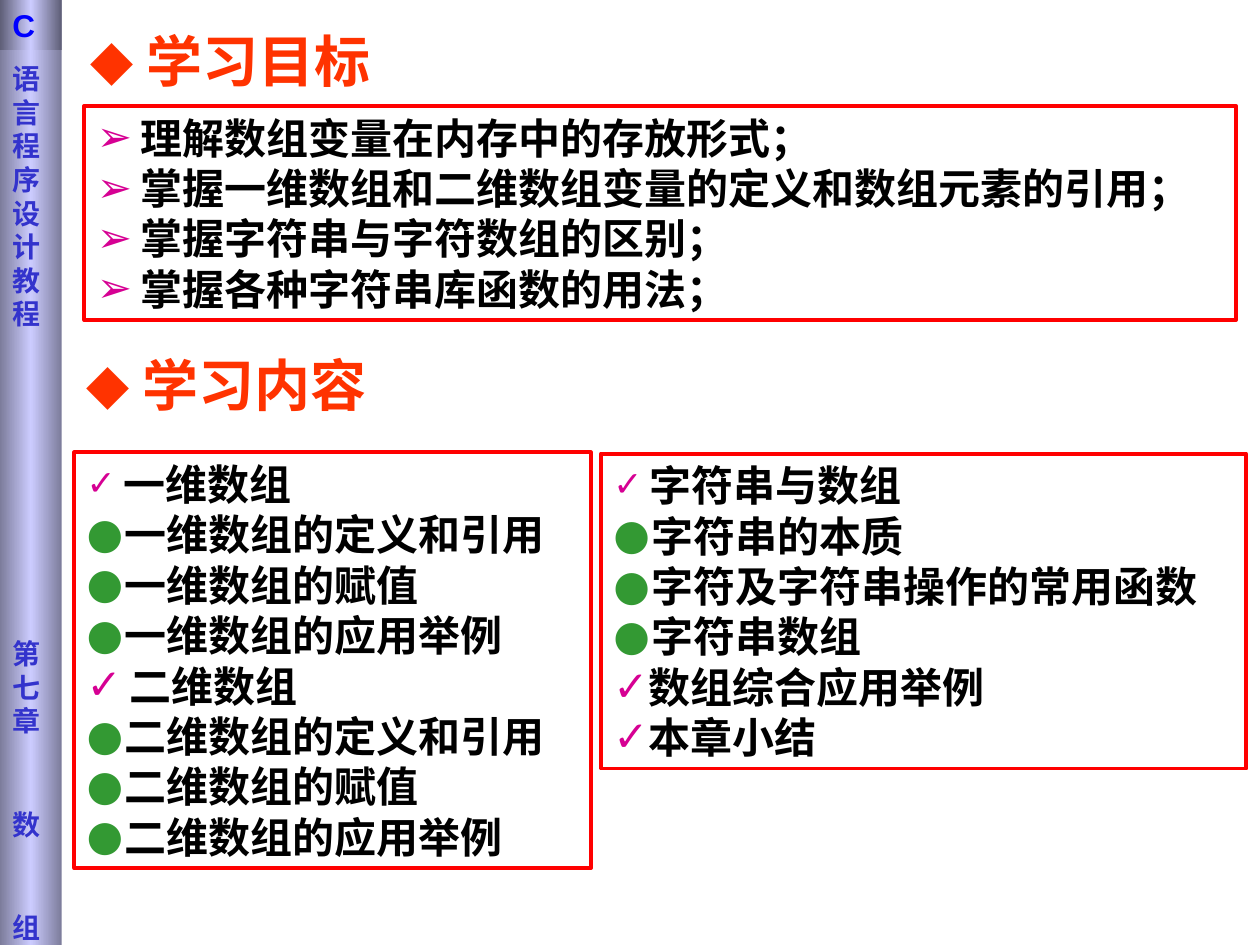
from lxml import etree
from pptx import Presentation
from pptx.dml.color import RGBColor
from pptx.enum.shapes import MSO_SHAPE
from pptx.enum.text import MSO_ANCHOR, PP_ALIGN
from pptx.oxml.ns import qn
from pptx.util import Inches, Pt

ORANGE = RGBColor(0xFF, 0x33, 0x00)
RED = RGBColor(0xFF, 0x00, 0x00)
MAGENTA = RGBColor(0xD6, 0x00, 0x93)
GREEN = RGBColor(0x33, 0x99, 0x33)
BLACK = RGBColor(0x00, 0x00, 0x00)
BLUE = RGBColor(0x00, 0x00, 0xFF)
INDIGO = RGBColor(0x33, 0x33, 0xCC)
LAVENDER = RGBColor(0xCC, 0xCC, 0xFF)
SLATE = RGBColor(0x7C, 0x7C, 0x9B)
DARK_SLATE = RGBColor(0x5E, 0x5E, 0x76)
CJK_FONT = "Noto Sans CJK SC"


def add_bullet(paragraph, mark, color, indent, percent=100):
    """Give the paragraph a coloured bullet with a hanging indent in inches."""
    props = paragraph._p.get_or_add_pPr()
    props.set("marL", str(Inches(indent)))
    props.set("indent", str(-Inches(indent)))
    fill = etree.SubElement(props, qn("a:buClr"))
    etree.SubElement(fill, qn("a:srgbClr"), val=str(color))
    etree.SubElement(props, qn("a:buSzPct"), val=str(percent * 1000))
    etree.SubElement(props, qn("a:buFont"), typeface="DejaVu Sans")
    etree.SubElement(props, qn("a:buChar"), char=mark)


def add_text(paragraph, text, size, font, color):
    paragraph.alignment = PP_ALIGN.LEFT
    run = paragraph.add_run()
    run.text = text
    for name, value in {"size": Pt(size), "name": font, "bold": True}.items():
        setattr(run.font, name, value)
    run.font.color.rgb = color
    etree.SubElement(run._r.get_or_add_rPr(), qn("a:ea"), typeface=CJK_FONT)


prs = Presentation()
prs.slide_width, prs.slide_height = Inches(10), Inches(7.5)
slide = prs.slides.add_slide(prs.slide_layouts[5])

# Section headings
goals_heading = slide.shapes.title
contents_heading = slide.shapes.add_textbox(0, 0, 0, 0)
for heading, left, top, text in [
    (goals_heading, 0.62, 0.16, "学习目标"),
    (contents_heading, 0.59, 2.73, "学习内容"),
]:
    heading.left, heading.top = Inches(left), Inches(top)
    heading.width, heading.height = Inches(4.25), Inches(0.64)
    heading.text_frame.word_wrap = True
    heading.text_frame.vertical_anchor = MSO_ANCHOR.TOP
    paragraph = heading.text_frame.paragraphs[0]
    add_bullet(paragraph, "◆", ORANGE, 0.44)
    add_text(paragraph, text, 32, "Arial", ORANGE)

# Framed lists: each item is mark, indent, text
goals = [("➢", 0.35, text) for text in [
    "理解数组变量在内存中的存放形式；",
    "掌握一维数组和二维数组变量的定义和数组元素的引用；",
    "掌握字符串与字符数组的区别；",
    "掌握各种字符串库函数的用法；",
]]
array_topics = [
    ("✓", 0.29, "一维数组"),
    ("●", 0.3, "一维数组的定义和引用"),
    ("●", 0.3, "一维数组的赋值"),
    ("●", 0.3, "一维数组的应用举例"),
    ("✓", 0.34, "二维数组"),
    ("●", 0.3, "二维数组的定义和引用"),
    ("●", 0.3, "二维数组的赋值"),
    ("●", 0.3, "二维数组的应用举例"),
]
string_topics = [
    ("✓", 0.29, "字符串与数组"),
    ("●", 0.3, "字符串的本质"),
    ("●", 0.3, "字符及字符串操作的常用函数"),
    ("●", 0.3, "字符串数组"),
    ("✓", 0.27, "数组综合应用举例"),
    ("✓", 0.27, "本章小结"),
]
for left, top, width, height, font, items in [
    (0.59, 3.59, 4.1, 3.3, CJK_FONT, array_topics),
    (4.77, 3.6, 5.12, 2.5, CJK_FONT, string_topics),
    (0.67, 0.84, 9.14, 1.7, "Times New Roman", goals),
]:
    frame = slide.shapes.add_shape(
        MSO_SHAPE.RECTANGLE, Inches(left), Inches(top), Inches(width), Inches(height))
    frame.shadow.inherit = False
    frame.fill.background()
    frame.line.color.rgb = RED
    frame.line.width = Pt(2.25)
    body = frame.text_frame
    body.word_wrap = True
    body.vertical_anchor = MSO_ANCHOR.TOP
    for index, (mark, indent, text) in enumerate(items):
        paragraph = body.add_paragraph() if index else body.paragraphs[0]
        small = mark == "✓" and index == 0
        add_bullet(paragraph, mark, GREEN if mark == "●" else MAGENTA,
                   indent, 83 if small else 100)
        add_text(paragraph, text, 24, font, BLACK)

# Sidebar: each line is text, space before; the narrow column stacks the characters
book_lines = [("语言程序设计教程", 0), ("第七章", 175), ("数", 40), ("组", 40)]
for height, edge, inset, size, font, color, lines in [
    (7.5, SLATE, 0.49, 16, "DejaVu Sans", INDIGO, book_lines),
    (0.4, DARK_SLATE, 0.05, 18, "Arial", BLUE, [("C", 0)]),
]:
    band = slide.shapes.add_shape(
        MSO_SHAPE.RECTANGLE, 0, 0, Inches(0.49), Inches(height))
    band.shadow.inherit = False
    band.line.fill.background()
    band.fill.gradient()
    band.fill.gradient_angle = 0
    stops = band.fill._fill._gradFill.find(qn("a:gsLst"))
    for stop in list(stops):
        stops.remove(stop)
    for position, shade in [(0, edge), (50, LAVENDER), (100, edge)]:
        stop = etree.SubElement(stops, qn("a:gs"), pos=str(position * 1000))
        etree.SubElement(stop, qn("a:srgbClr"), val=str(shade))
    body = band.text_frame
    body.word_wrap = True
    body.vertical_anchor = MSO_ANCHOR.TOP
    body.margin_top = Inches(inset)
    for index, (text, gap) in enumerate(lines):
        paragraph = body.add_paragraph() if index else body.paragraphs[0]
        if gap:
            paragraph.space_before = Pt(gap)
        add_text(paragraph, text, size, font, color)

prs.save("out.pptx")
